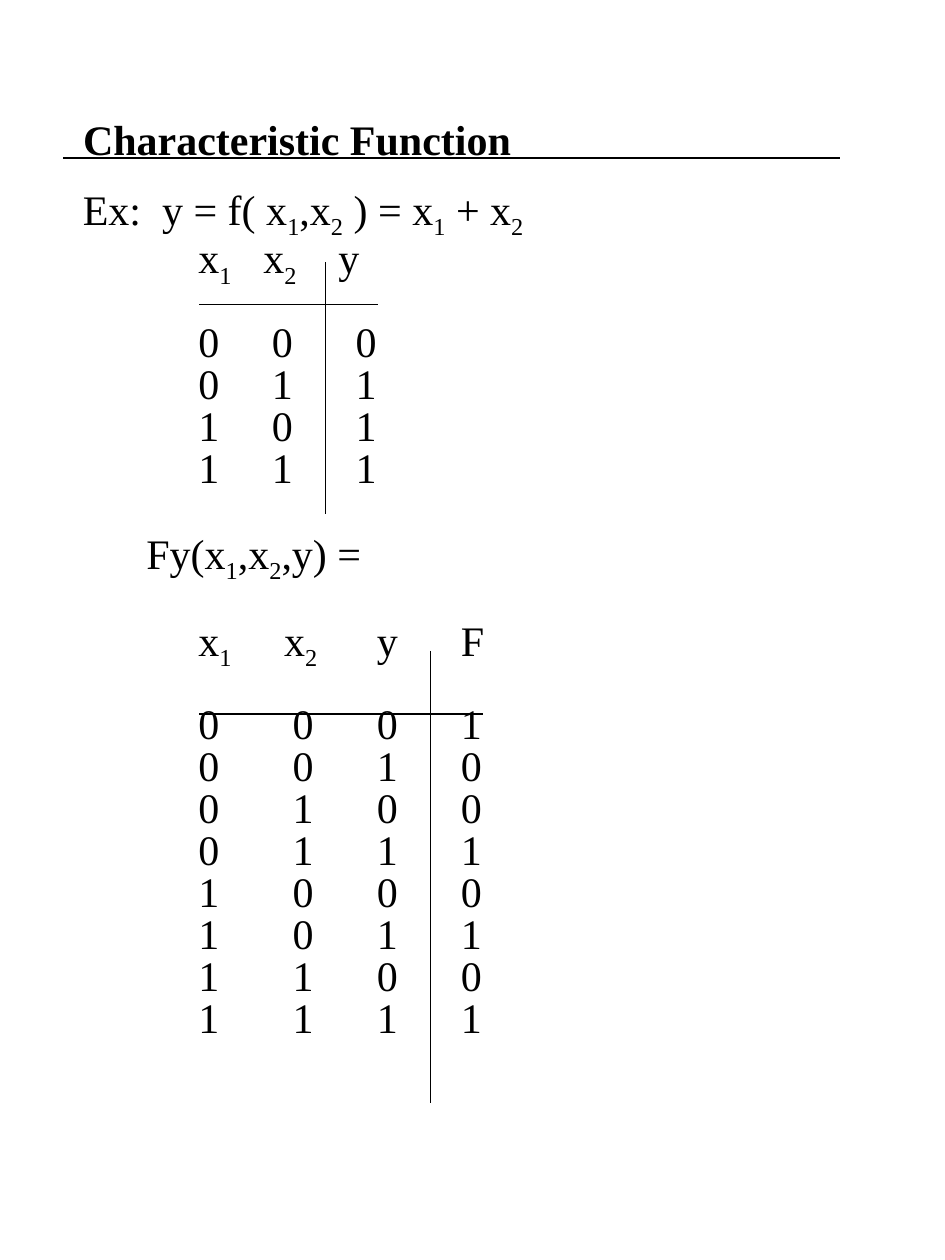
from pptx import Presentation
from pptx.dml.color import RGBColor
from pptx.enum import shapes, text
from pptx.oxml import parse_xml
from pptx.oxml.ns import nsdecls
from pptx.util import Cm, Pt

INK = {"main": "000000", "back": "FFFFFF"}
FONT = "Times New Roman"


def add_runs(para, words, bold=False):
    """Add text run by run; the character after each _ becomes a subscript."""
    first, *rest = words.split("_")
    parts = [(first, False)]
    for part in rest:
        parts += [(part[0], True), (part[1:], False)]
    for part, sub in parts:
        if not part:
            continue
        run = para.add_run()
        run.text = part
        run.font.name, run.font.size, run.font.bold = FONT, Pt(24), bold
        run.font.color.rgb = RGBColor.from_string(INK["main"])
        if sub:
            run._r.get_or_add_rPr().set("baseline", "-25000")


def add_line(x1, y1, x2, y2):
    line = slide.shapes.add_connector(
        shapes.MSO_CONNECTOR.STRAIGHT, Cm(x1), Cm(y1), Cm(x2), Cm(y2))
    line.line.color.rgb = RGBColor.from_string(INK["main"])
    line.line.width = Pt(1)
    line._element.spPr.append(parse_xml(f"<a:effectLst {nsdecls('a')}/>"))


deck = Presentation()
deck.slide_width, deck.slide_height = Cm(19.05), Cm(25.4)
slide = deck.slides.add_slide(deck.slide_layouts[5])
slide.background.fill.solid()
slide.background.fill.fore_color.rgb = RGBColor.from_string(INK["back"])

# Title
title = slide.shapes.title
title.left, title.top, title.width, title.height = Cm(1.42), Cm(1), Cm(16.18), Cm(3.6)
title.text_frame.vertical_anchor = text.MSO_ANCHOR.MIDDLE
para = title.text_frame.paragraphs[0]
para.alignment = text.PP_ALIGN.LEFT
add_runs(para, "Characteristic Function", bold=True)

# Body: each row is its words, tab stops in cm, and space before in points
GAP, SKIP = 6.7, 30
OR_STOPS = [2.33, 3.81, 5.5]
F_STOPS = [2.33, 4.23, 5.93, 7.62]
bits = [(a, b) for a in (0, 1) for b in (0, 1)]

rows = [("Ex:  y = f( x_1,x_2 ) = x_1 + x_2", [], 0),
        ("\tx_1\tx_2\ty", [2.33, 3.64, 5.15], GAP)]
for i, (a, b) in enumerate(bits):
    rows.append((f"\t{a}\t{b}\t{a | b}", OR_STOPS, GAP if i else SKIP))
rows.append(("\tFy(x_1,x_2,y) =", [1.28], SKIP))
rows.append(("\tx_1\tx_2\ty\tF", [2.33, 4.06, 5.93, 7.62], SKIP))
for i, (a, b, y) in enumerate((a, b, y) for a, b in bits for y in (0, 1)):
    rows.append((f"\t{a}\t{b}\t{y}\t{int(y == (a | b))}", F_STOPS, GAP if i else SKIP))

body = slide.shapes.add_textbox(Cm(1.42), Cm(3.68), Cm(16.18), Cm(18.57))
frame = body.text_frame
frame.word_wrap = True
for i, (words, stops, gap) in enumerate(rows):
    para = frame.paragraphs[0] if i == 0 else frame.add_paragraph()
    para.line_spacing = 0.6 if i else 0.8
    para.space_before = Pt(gap)
    if stops:
        tabs = "".join(f'<a:tab pos="{Cm(stop)}" algn="l"/>' for stop in stops)
        para._p.get_or_add_pPr().append(
            parse_xml(f"<a:tabLst {nsdecls('a')}>{tabs}</a:tabLst>"))
    add_runs(para, words)

# Rules under the title and across the two truth tables
for ends in [(1.27, 3.18, 16.93, 3.18),
             (4.02, 6.14, 7.62, 6.14), (6.56, 5.29, 6.56, 10.37),
             (4.02, 14.39, 9.74, 14.39), (8.68, 13.12, 8.68, 22.23)]:
    add_line(*ends)

deck.save("out.pptx")
